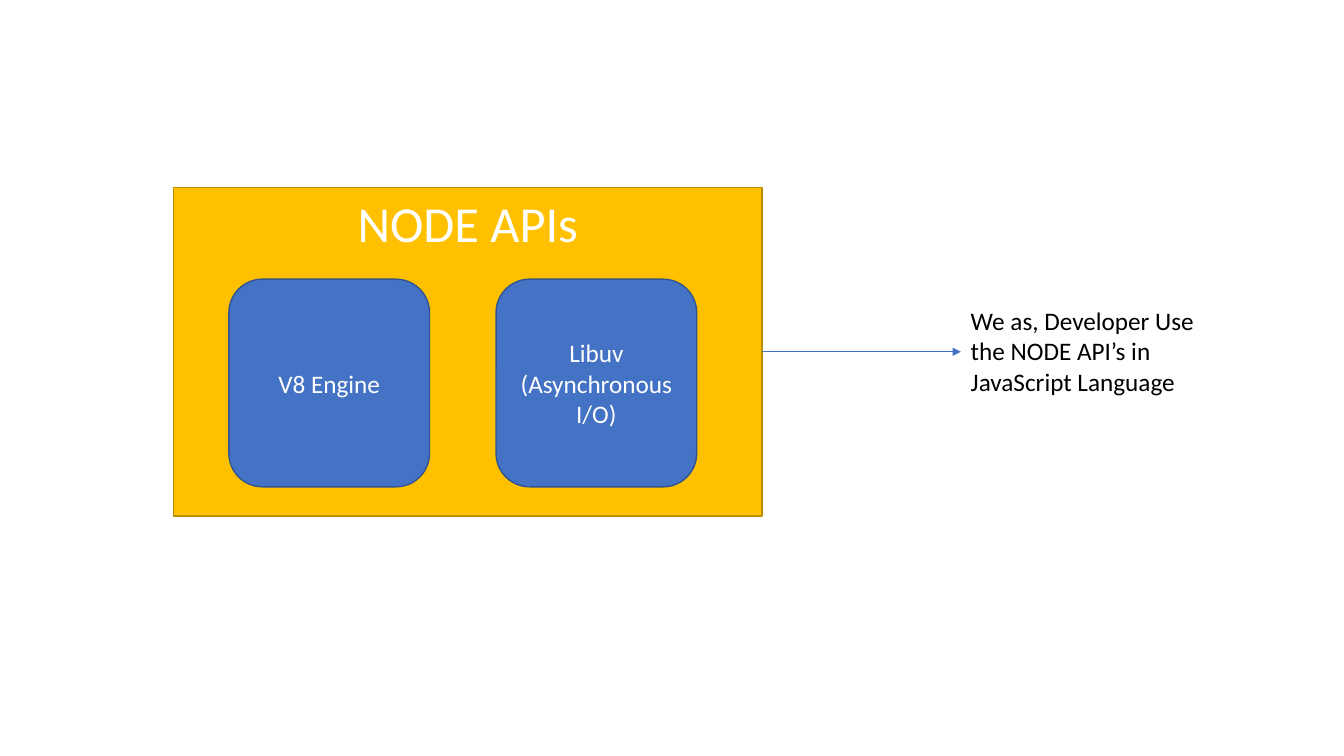
"""Build a slide showing the parts of the Node APIs and who uses them."""
from lxml.etree import SubElement
from pptx import Presentation
from pptx.dml.color import RGBColor
from pptx.enum.shapes import MSO_CONNECTOR, MSO_SHAPE
from pptx.enum.text import MSO_ANCHOR, PP_ALIGN
from pptx.oxml.ns import qn
from pptx.util import Inches, Pt

TITLE = "NODE APIs"
ENGINES = ["V8 Engine", "Libuv\n(Asynchronous I/O)"]
USAGE = "We as, Developer Use the NODE API’s in JavaScript Language"

FONT = "Calibri"
WHITE = RGBColor(0xFF, 0xFF, 0xFF)
BLACK = RGBColor(0x00, 0x00, 0x00)
GOLD = RGBColor(0xFF, 0xC0, 0x00)
DARK_GOLD = RGBColor(0xBD, 0x8E, 0x00)
BLUE = RGBColor(0x44, 0x72, 0xC4)
DARK_BLUE = RGBColor(0x32, 0x54, 0x91)

API_BOX = (1.72, 1.86, 5.84, 3.26)
USAGE_BOX = (9.53, 2.98, 2.43, 1.02)
ENGINE_LEFT, ENGINE_TOP = 2.27, 2.77
ENGINE_WIDTH, ENGINE_HEIGHT = 1.99, 2.06
ENGINE_STEP = 2.65


def write_text(shape, text, size=18, color=WHITE, align=PP_ALIGN.CENTER, anchor=MSO_ANCHOR.MIDDLE):
    frame = shape.text_frame
    frame.word_wrap = True
    frame.vertical_anchor = anchor
    frame.text = text
    for paragraph in frame.paragraphs:
        paragraph.alignment = align
        paragraph.font.name = FONT
        paragraph.font.size = Pt(size)
        paragraph.font.color.rgb = color


def add_box(slide, kind, box, fill, line):
    shape = slide.shapes.add_shape(kind, *map(Inches, box))
    shape.shadow.inherit = False
    shape.fill.solid()
    shape.fill.fore_color.rgb = fill
    shape.line.color.rgb = line
    shape.line.width = Pt(1)
    return shape


def add_arrow(slide, start, end):
    arrow = slide.shapes.add_connector(MSO_CONNECTOR.STRAIGHT, 0, 0, 0, 0)
    arrow.begin_connect(start, 3)
    arrow.end_connect(end, 1)
    arrow.line.color.rgb = BLUE
    arrow.line.width = Pt(0.5)
    SubElement(arrow.line._get_or_add_ln(), qn("a:tailEnd"), type="triangle")
    SubElement(arrow._element.spPr, qn("a:effectLst"))


def main():
    presentation = Presentation()
    presentation.slide_width = Inches(13.33)
    presentation.slide_height = Inches(7.5)
    slide = presentation.slides.add_slide(presentation.slide_layouts[6])

    api_box = add_box(slide, MSO_SHAPE.RECTANGLE, API_BOX, GOLD, DARK_GOLD)
    write_text(api_box, TITLE, size=36, anchor=MSO_ANCHOR.TOP)

    usage_box = slide.shapes.add_textbox(*map(Inches, USAGE_BOX))
    write_text(usage_box, USAGE, color=BLACK, align=PP_ALIGN.LEFT, anchor=MSO_ANCHOR.TOP)
    add_arrow(slide, api_box, usage_box)

    for index, name in enumerate(ENGINES):
        box = (ENGINE_LEFT + index * ENGINE_STEP, ENGINE_TOP, ENGINE_WIDTH, ENGINE_HEIGHT)
        engine = add_box(slide, MSO_SHAPE.ROUNDED_RECTANGLE, box, BLUE, DARK_BLUE)
        write_text(engine, name)

    presentation.save("out.pptx")


if __name__ == "__main__":
    main()
